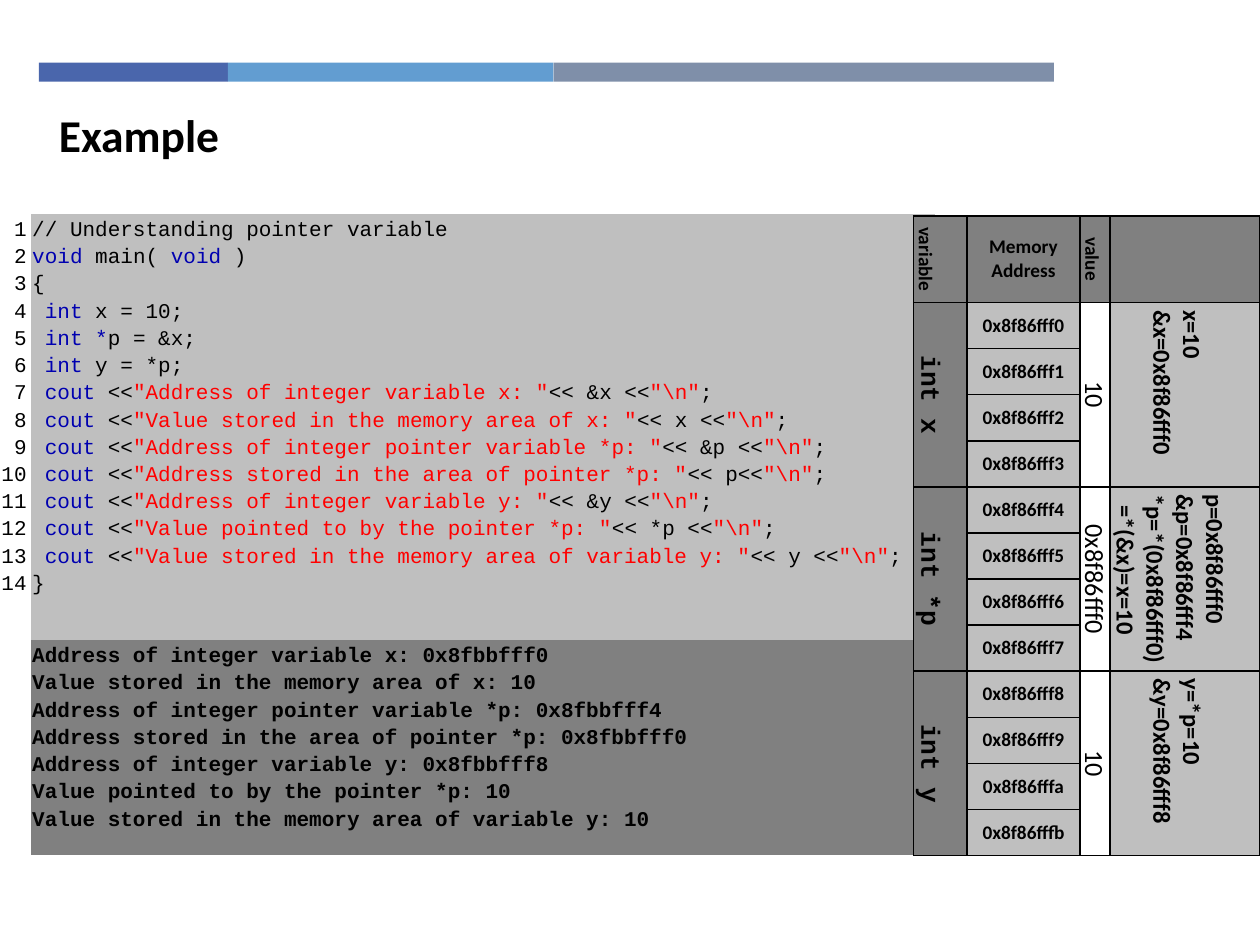
from lxml import etree
from pptx import Presentation
from pptx.dml.color import RGBColor
from pptx.enum import shapes, text
from pptx.oxml import ns
from pptx.util import Pt

BLACK = RGBColor(0x00, 0x00, 0x00)
BLUE = RGBColor(0x00, 0x00, 0xB0)
RED = RGBColor(0xFF, 0x00, 0x00)
LIGHT = RGBColor(0xBF, 0xBF, 0xBF)
DARK = RGBColor(0x80, 0x80, 0x80)
SANS, MONO = "Calibri", "Courier New"
LEFT, CENTER, RIGHT = text.PP_ALIGN.LEFT, text.PP_ALIGN.CENTER, text.PP_ALIGN.RIGHT
TOP, MIDDLE = text.MSO_ANCHOR.TOP, text.MSO_ANCHOR.MIDDLE
PLAIN_STYLE = "{2D5ABB26-0587-4C30-8999-92F81FD0307C}"

# Content: bar widths and colours
BARS = [
    (108, RGBColor(0x4A, 0x66, 0xAC)),
    (186, RGBColor(0x62, 0x9D, 0xD1)),
    (286, RGBColor(0x7F, 0x8F, 0xA9)),
]

# Each print statement: label, printed expression, result
PRINTS = [
    ("Address of integer variable x: ", "<< &x <<", "0x8fbbfff0"),
    ("Value stored in the memory area of x: ", "<< x <<", "10"),
    ("Address of integer pointer variable *p: ", "<< &p <<", "0x8fbbfff4"),
    ("Address stored in the area of pointer *p: ", "<< p<<", "0x8fbbfff0"),
    ("Address of integer variable y: ", "<< &y <<", "0x8fbbfff8"),
    ("Value pointed to by the pointer *p: ", "<< *p <<", "10"),
    ("Value stored in the memory area of variable y: ", "<< y <<", "10"),
]

# Program lines as (text, colour) runs
CODE = [
    [("// Understanding pointer variable", BLACK)],
    [("void", BLUE), (" main( ", BLACK), ("void", BLUE), (" )", BLACK)],
    [("{", BLACK)],
    [(" int", BLUE), (" x = 10;", BLACK)],
    [(" int *", BLUE), ("p = &x;", BLACK)],
    [(" int", BLUE), (" y = *p;", BLACK)],
    *[[(" cout", BLUE), (" <<", BLACK), (f'"{label}"', RED), (expr, BLACK),
       ('"\\n"', RED), (";", BLACK)] for label, expr, _ in PRINTS],
    [("}", BLACK)],
]

# Variable, stored value, notes; each takes four bytes of memory
HEADERS = [["variable"], ["Memory", "Address"], ["value"], []]
VARIABLES = [
    ("int x", "10", ["x=10", "&x=0x8f86fff0"]),
    ("int *p", "0x8f86fff0",
     ["p=0x8f86fff0", "&p=0x8f86fff4", "*p=*(0x8f86fff0)", "  =*(&x)=x=10"]),
    ("int y", "10", ["y=*p=10", "&y=0x8f86fff8"]),
]
BYTES = 4
NOTE_LINES = 4
NOTE_INSET = 10.5


def add_table(s, left, top, cols, rows):
    """Add an unstyled table with the given column widths and row heights."""
    table = s.shapes.add_table(len(rows), len(cols), Pt(left), Pt(top),
                               Pt(sum(cols)), Pt(sum(rows))).table
    table.first_row = table.horz_banding = False
    table._tbl.tblPr.find(ns.qn("a:tableStyleId")).text = PLAIN_STYLE
    for col, width in zip(table.columns, cols):
        col.width = Pt(width)
    for row, height in zip(table.rows, rows):
        row.height = Pt(height)
    return table


def fill_cell(cell, lines, size, name, fill=None, bold=False, align=LEFT,
              anchor=TOP, margins=(0.75, 0.75, 0.75, 0.75), spacing=None, vert=False):
    """Write lines, each a string or a list of (text, colour) runs."""
    (cell.margin_left, cell.margin_top,
     cell.margin_right, cell.margin_bottom) = map(Pt, margins)
    cell.vertical_anchor = anchor
    if vert:
        cell._tc.get_or_add_tcPr().set("vert", "vert")
    if fill is None:
        cell.fill.background()
    else:
        cell.fill.solid()
        cell.fill.fore_color.rgb = fill
    tf = cell.text_frame
    for i, line in enumerate(lines):
        p = tf.add_paragraph() if i else tf.paragraphs[0]
        p.alignment = align
        if spacing:
            p.line_spacing = spacing
        f = p.font
        f.size, f.name, f.bold, f.color.rgb = Pt(size), name, bold, BLACK
        runs = [(line, BLACK)] if isinstance(line, str) else line
        for words, color in runs:
            r = p.add_run()
            r.text = words
            if color != BLACK:
                r.font.color.rgb = color


def add_borders(cell):
    """Draw a 1 pt black line on all four sides, ahead of the cell fill."""
    tcPr = cell._tc.get_or_add_tcPr()
    for i, side in enumerate(("lnL", "lnR", "lnT", "lnB")):
        ln = etree.Element(ns.qn(f"a:{side}"), w=str(Pt(1)))
        solid = etree.SubElement(ln, ns.qn("a:solidFill"))
        etree.SubElement(solid, ns.qn("a:srgbClr"), val=str(BLACK))
        tcPr.insert(i, ln)


prs = Presentation()
prs.slide_width, prs.slide_height = Pt(720), Pt(540)
s = prs.slides.add_slide(prs.slide_layouts[6])

# Coloured bars
x = 22.3
for width, color in BARS:
    sp = s.shapes.add_shape(shapes.MSO_SHAPE.RECTANGLE, Pt(x), Pt(35.8), Pt(width), Pt(10.8))
    sp.shadow.inherit = False
    sp.fill.solid()
    sp.fill.fore_color.rgb = color
    sp.line.fill.background()
    x += width

# Program and its output; the number column just holds two digits
table = add_table(s, 0, 122.4, [17.7, 516.6], [243.6, 122.4])
code_style = dict(size=12, name=MONO, spacing=1.15)
fill_cell(table.cell(0, 0), [str(n + 1) for n in range(len(CODE))], align=RIGHT,
          margins=(0, 0.75, 2.5, 0.75), **code_style)
fill_cell(table.cell(0, 1), CODE, fill=LIGHT, **code_style)
fill_cell(table.cell(1, 0), [], **code_style)
fill_cell(table.cell(1, 1), [label + result for label, _, result in PRINTS],
          fill=DARK, bold=True, **code_style)

# Memory map
table = add_table(s, 522, 123.4, [30.6, 64.6, 17.2, 85.6],
                  [49.5] + [26.34] * (BYTES * len(VARIABLES)))
wide, narrow = (4.3, 0, 4.3, 0), (0.75, 0, 0.75, 0)
centered = dict(align=CENTER, anchor=MIDDLE)
for col, lines in enumerate(HEADERS):
    fill_cell(table.cell(0, col), lines, 11, SANS, DARK, True, margins=wide,
              vert=col in (0, 2), **centered)
for i, (variable, value, notes) in enumerate(VARIABLES):
    first = 1 + i * BYTES
    for col in (0, 2, 3):
        table.cell(first, col).merge(table.cell(first + BYTES - 1, col))
    fill_cell(table.cell(first, 0), [variable], 15, MONO, DARK, True,
              margins=wide, vert=True, **centered)
    for b in range(BYTES):
        fill_cell(table.cell(first + b, 1), [f"0x8f86fff{i * BYTES + b:x}"], 11, SANS,
                  LIGHT, True, margins=narrow, **centered)
    fill_cell(table.cell(first, 2), [value], 15, SANS, margins=wide, vert=True, **centered)
    # Shorter notes are inset, as far as the row height allows
    inset = (NOTE_LINES - len(notes)) * NOTE_INSET
    fill_cell(table.cell(first, 3), notes, 14, SANS, LIGHT, True, anchor=MIDDLE,
              margins=(4.3, 0, 4.3, inset), vert=True)
for cell in table.iter_cells():
    add_borders(cell)

# Title
tf = s.shapes.add_textbox(Pt(26.6), Pt(57.6), Pt(515.5), Pt(38.9)).text_frame
tf.word_wrap = True
p = tf.paragraphs[0]
p.text = "Example"
p.font.size, p.font.name, p.font.bold = Pt(26), SANS, True
p.font.color.rgb = BLACK

prs.save("out.pptx")
